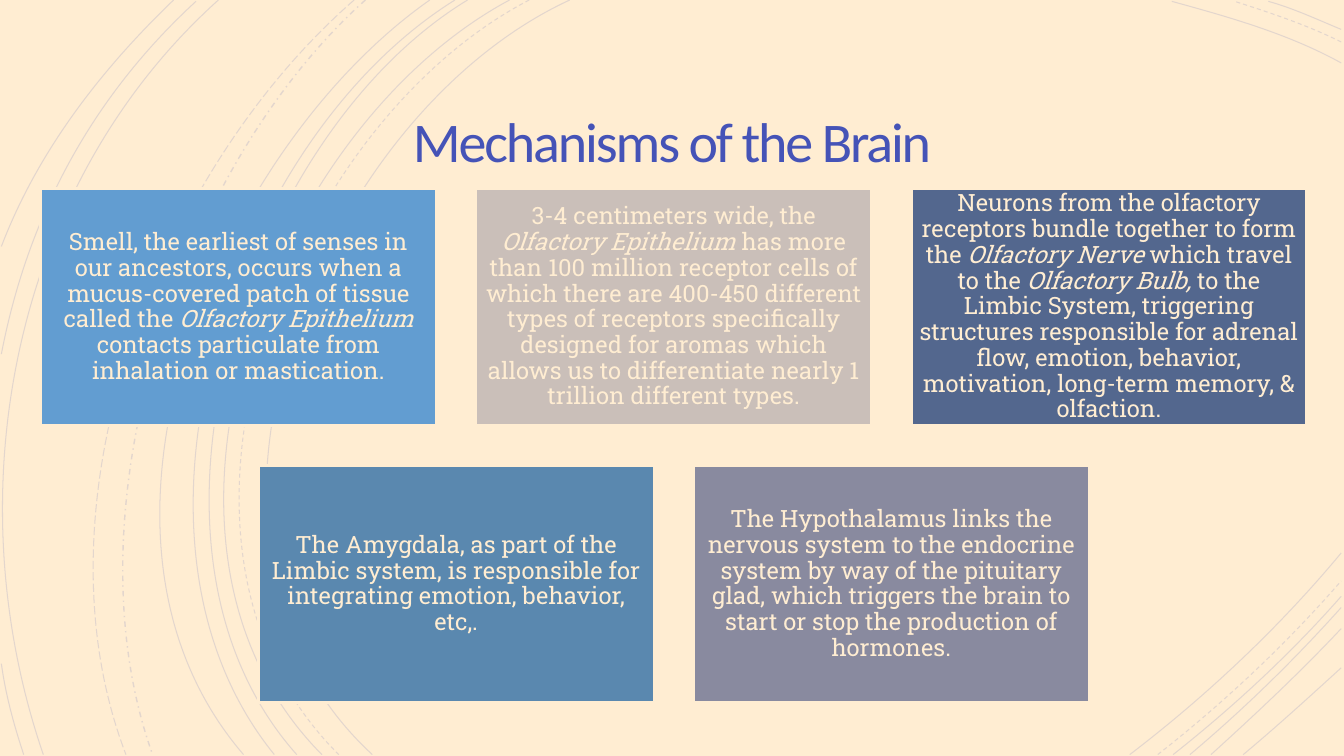
from dataclasses import dataclass
from lxml.etree import SubElement
from pptx import Presentation
from pptx.dml.color import RGBColor as Rgb
from pptx.enum.dml import MSO_LINE as Dash
from pptx.enum.shapes import MSO_SHAPE as Shape
from pptx.enum.text import MSO_ANCHOR as Anchor, MSO_AUTO_SIZE as AutoSize, PP_ALIGN as Align
from pptx.oxml.ns import qn
from pptx.util import Pt

TITLE = "Mechanisms of the Brain"

ROMAN, ITALIC = False, True
CARD_ROWS = [
    [
        ("629DD1", [
            ("Smell, the earliest of senses in our ancestors, occurs when a mucus-covered "
             "patch of tissue called the ", ROMAN),
            ("Olfactory Epithelium ", ITALIC),
            ("contacts particulate from inhalation or mastication.", ROMAN),
        ]),
        ("CABFB9", [
            ("3-4 centimeters wide, the ", ROMAN),
            ("Olfactory Epithelium ", ITALIC),
            ("has more than 100 million receptor cells of which there are 400-450 different "
             "types of receptors specifically designed for aromas which allows us to "
             "differentiate nearly 1 trillion different types.", ROMAN),
        ]),
        ("53678E", [
            ("Neurons from the olfactory receptors bundle together to form the", ROMAN),
            (" Olfactory Nerve", ITALIC),
            (" which travel to the ", ROMAN),
            ("Olfactory Bulb, ", ITALIC),
            ("to the Limbic System, triggering structures responsible for adrenal flow, "
             "emotion, behavior, motivation, long-term memory, & olfaction.", ROMAN),
        ]),
    ],
    [
        ("5A88AF", [
            ("The Amygdala, as part of the Limbic system, is responsible for integrating "
             "emotion, behavior, etc,.", ROMAN),
        ]),
        ("898A9F", [
            ("The Hypothalamus links the nervous system to the endocrine system by way of the "
             "pituitary glad, which triggers the brain to start or stop the production of "
             "hormones.", ROMAN),
        ]),
    ],
]

ARCS = {
    (Dash.SOLID, 0.75): [
        [(407, 0), (227, 83), (103, 389), (266, 539)],
        [(364, 0), (194, 91), (79, 387), (230, 539)],
        [(334, 0), (176, 96), (79, 390), (212, 539)],
        [(325, 0), (166, 99), (70, 384), (196, 539)],
        [(307, 0), (156, 106), (38, 381), (174, 539)],
        [(156, 0), (8, 133), (-33, 353), (31, 539)],
        [(140, 1), (66, 69), (20, 154), (1, 253)],
        [(124, 0), (72, 50), (27, 108), (1, 176)],
        [(1, 474), (4, 496), (10, 518), (17, 539)],
        [(958, 45), (920, 24), (877, 12), (837, 1)],
        [(958, 21), (941, 14), (924, 6), (906, 1)],
        [(807, 539), (862, 497), (914, 448), (958, 395)],
        [(838, 539), (881, 505), (922, 467), (958, 426)],
        [(850, 539), (888, 507), (924, 472), (958, 434)],
        [(865, 539), (897, 510), (929, 480), (958, 449)],
        [(888, 539), (912, 519), (935, 498), (958, 477)],
    ],
    (Dash.DASH, 0.75): [
        [(378, 0), (205, 90), (89, 387), (242, 539)],
        [(958, 30), (934, 18), (907, 9), (882, 1)],
        [(827, 539), (873, 503), (918, 461), (958, 415)],
    ],
    (Dash.DASH_DOT, 1): [[(261, 0), (127, 120), (47, 366), (109, 539)]],
    (Dash.LONG_DASH, 0.75): [[(253, 0), (113, 122), (21, 359), (90, 539)]],
}


@dataclass(frozen=True)
class Theme:
    cream: Rgb = Rgb.from_string("FFEDD2")
    indigo: Rgb = Rgb.from_string("4553B7")
    arc_alpha: str = "15000"
    title_font: str = "Calibri"
    title_size: int = 40
    card_font: str = "Roboto Slab"
    card_size: int = 17


THEME = Theme()
SLIDE_W, SLIDE_H = 960, 540
CARD_W, CARD_H, GAP = 282.6, 169.6, 28.3
CARDS_TOP, CARDS_CENTER = 134.6, 481.3


def draw_backdrop(slide):
    slide.background.fill.solid()
    slide.background.fill.fore_color.rgb = THEME.cream
    backdrop = slide.shapes.add_shape(Shape.RECTANGLE, 0, 0, Pt(SLIDE_W), Pt(SLIDE_H))
    backdrop.shadow.inherit = False
    backdrop.fill.solid()
    backdrop.fill.fore_color.rgb = THEME.cream
    backdrop.line.fill.background()


def bend(curve):
    segments = list(curve._element.iter(qn("a:lnTo")))
    outline = segments[0].getparent()
    bezier = SubElement(outline, qn("a:cubicBezTo"))
    for segment in segments:
        bezier.append(segment[0])
        outline.remove(segment)


def draw_arc(group, arc, dash, width):
    outline = group.shapes.build_freeform(*arc[0], scale=Pt(1))
    outline.add_line_segments(arc[1:], close=False)
    curve = outline.convert_to_shape()
    bend(curve)
    curve.shadow.inherit = False
    curve.fill.background()
    curve.line.color.rgb = THEME.indigo
    curve.line.width = Pt(width)
    curve.line.dash_style = dash
    color = next(curve.line._ln.iter(qn("a:srgbClr")))
    SubElement(color, qn("a:alpha"), val=THEME.arc_alpha)


def set_frame(frame, inset):
    frame.word_wrap = True
    frame.auto_size = AutoSize.NONE
    frame.vertical_anchor = Anchor.MIDDLE
    frame.margin_left = frame.margin_right = Pt(inset)
    frame.margin_top = frame.margin_bottom = Pt(inset)


def set_paragraph(paragraph, font, size, color, spacing):
    paragraph.alignment = Align.CENTER
    paragraph.line_spacing = spacing
    paragraph.font.name = font
    paragraph.font.size = Pt(size)
    paragraph.font.color.rgb = color


def draw_title(slide):
    title = slide.shapes.title
    title.left, title.top, title.width, title.height = Pt(138.4), Pt(62.6), Pt(683.2), Pt(83)
    title.text_frame.text = TITLE
    set_frame(title.text_frame, 18)
    heading = title.text_frame.paragraphs[0]
    set_paragraph(heading, THEME.title_font, THEME.title_size, THEME.indigo, 0.85)
    heading.runs[0].font._element.set("spc", "-150")
    slide.shapes._spTree.append(title._element)


def draw_card(slide, left, top, fill, passages):
    card = slide.shapes.add_shape(Shape.RECTANGLE, Pt(left), Pt(top), Pt(CARD_W), Pt(CARD_H))
    card.shadow.inherit = False
    card.fill.solid()
    card.fill.fore_color.rgb = Rgb.from_string(fill)
    card.line.color.rgb = THEME.cream
    card.line.width = Pt(2)
    set_frame(card.text_frame, 5)
    paragraph = card.text_frame.paragraphs[0]
    set_paragraph(paragraph, THEME.card_font, THEME.card_size, THEME.cream, 0.9)
    for text, italic in passages:
        run = paragraph.add_run()
        run.text = text
        run.font.italic = italic


def main():
    deck = Presentation()
    deck.slide_width, deck.slide_height = Pt(SLIDE_W), Pt(SLIDE_H)
    slide = deck.slides.add_slide(deck.slide_layouts[5])
    draw_backdrop(slide)

    arcs = slide.shapes.add_group_shape()
    for (dash, width), family in ARCS.items():
        for arc in family:
            draw_arc(arcs, arc, dash, width)

    draw_title(slide)
    for row, cards in enumerate(CARD_ROWS):
        row_width = len(cards) * (CARD_W + GAP) - GAP
        for column, (fill, passages) in enumerate(cards):
            left = CARDS_CENTER - row_width / 2 + column * (CARD_W + GAP)
            draw_card(slide, left, CARDS_TOP + row * (CARD_H + GAP), fill, passages)

    deck.save("out.pptx")


if __name__ == "__main__":
    main()
